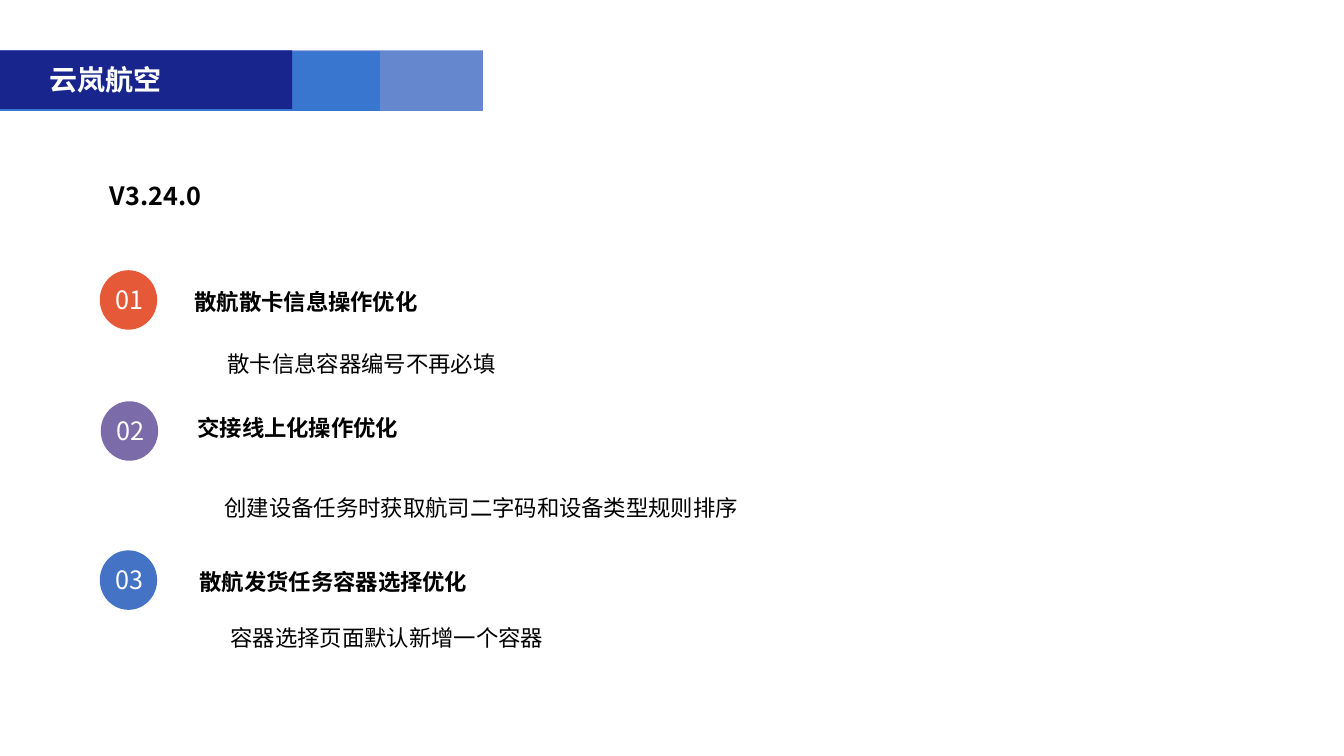
import pptx
import pptx.util
import pptx.dml.color
import pptx.enum.shapes
import pptx.enum.text
import pptx.oxml.ns
from lxml import etree

Pt = pptx.util.Pt
SHAPES = pptx.enum.shapes.MSO_SHAPE
FONT = "Noto Sans CJK SC"
COLORS = {
    "navy": "18258D", "blue": "3976CF", "pale": "6587CE",
    "orange": "E55938", "purple": "7B6BA9", "azure": "4472C4",
    "white": "FFFFFF", "black": "000000",
}

HEADER = "云岚航空"
VERSION = "V3.24.0"
# top, width, height, colour; each bar overlaps the one before
BARS = [
    (36, 344.9, 43.2, "pale"),
    (36.7, 271.4, 42.5, "blue"),
    (36, 208.8, 41.8, "navy"),
]
# badge colour, badge position, title, title position, detail, detail position
ITEMS = [
    ("orange", (71.3, 193), "散航散卡信息操作优化", (131.8, 202.3),
     "散卡信息容器编号不再必填", (155.5, 246.2)),
    ("purple", (72, 286.6), "交接线上化操作优化", (133.9, 292.3),
     "创建设备任务时获取航司二字码和设备类型规则排序", (153.4, 349.2)),
    ("azure", (71.3, 393.1), "散航发货任务容器选择优化", (135.4, 402.5),
     "容器选择页面默认新增一个容器", (157.7, 442.1)),
]
BADGE_W, BADGE_H = 41, 42.5
NUMBER_DX, NUMBER_DY = 4.3, 6.7


def add_block(s, kind, left, top, width, height, color):
    sp = s.shapes.add_shape(kind, Pt(left), Pt(top), Pt(width), Pt(height))
    sp.shadow.inherit = False
    sp.fill.solid()
    sp.fill.fore_color.rgb = pptx.dml.color.RGBColor.from_string(COLORS[color])
    sp.line.fill.background()


def add_text(s, text, left, top, width, size=16, color="black", bold=False):
    """Add a one-line text box whose height follows the font size."""
    height = size * 1.2 + 7.2
    sp = s.shapes.add_textbox(Pt(left), Pt(top), Pt(width), Pt(height))
    tf = sp.text_frame
    tf.word_wrap = True
    tf.auto_size = pptx.enum.text.MSO_AUTO_SIZE.SHAPE_TO_FIT_TEXT
    r = tf.paragraphs[0].add_run()
    r.text = text
    r.font.name = FONT
    r.font.size = Pt(size)
    r.font.bold = bold
    r.font.color.rgb = pptx.dml.color.RGBColor.from_string(COLORS[color])
    # East Asian characters take their typeface from a:ea
    ea = etree.SubElement(r.font._element, pptx.oxml.ns.qn("a:ea"))
    ea.set("typeface", FONT)


def main():
    prs = pptx.Presentation()
    prs.slide_width, prs.slide_height = Pt(960), Pt(540)
    s = prs.slides.add_slide(prs.slide_layouts[6])

    for top, width, height, color in BARS:
        add_block(s, SHAPES.RECTANGLE, 0, top, width, height, color)
    add_text(s, HEADER, 28.1, 41, 243.4, size=20, color="white", bold=True)
    add_text(s, VERSION, 71.3, 125.3, 206.6, size=18, bold=True)

    for n, (color, (x, y), title, title_at, detail, detail_at) in enumerate(ITEMS, 1):
        add_block(s, SHAPES.OVAL, x, y, BADGE_W, BADGE_H, color)
        add_text(s, f"{n:02d}", x + NUMBER_DX, y + NUMBER_DY, 71.3,
                 size=18, color="white")
        add_text(s, title, *title_at, 250, bold=True)
        add_text(s, detail, *detail_at, 489.6)

    prs.save("out.pptx")


if __name__ == "__main__":
    main()
